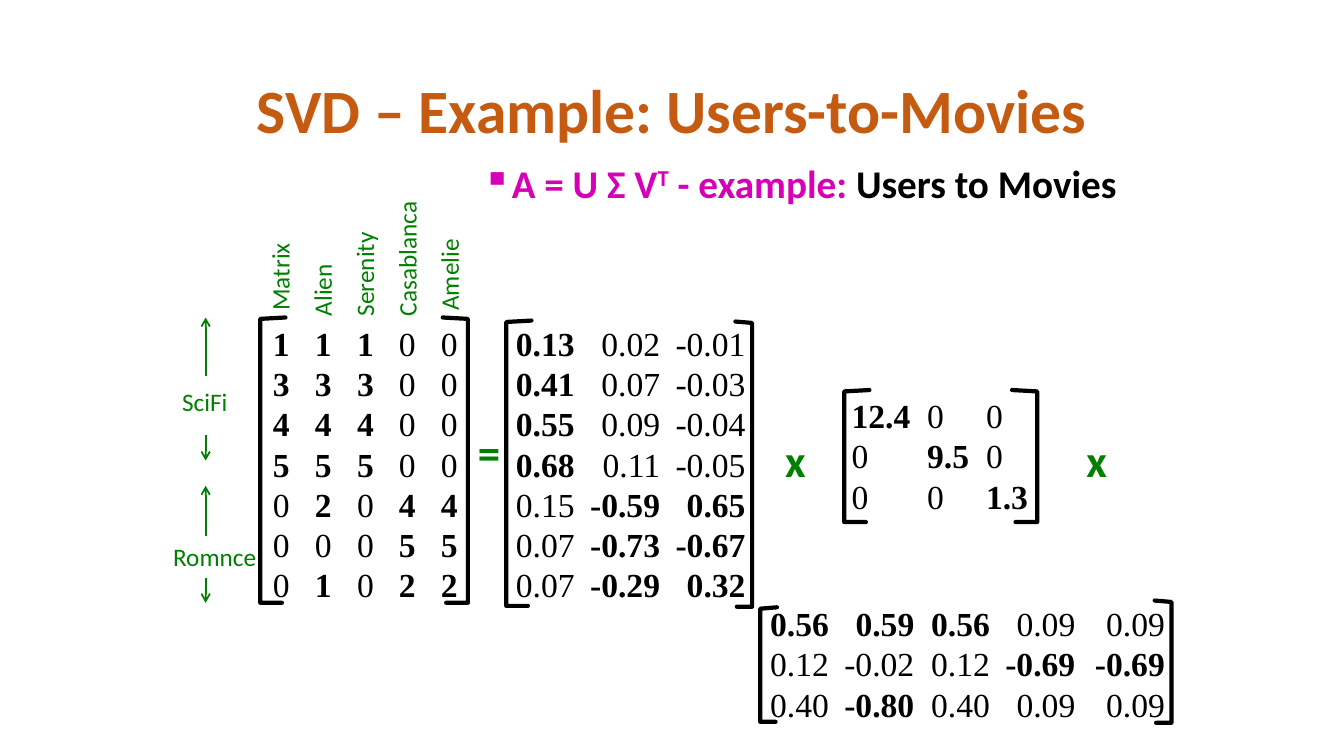
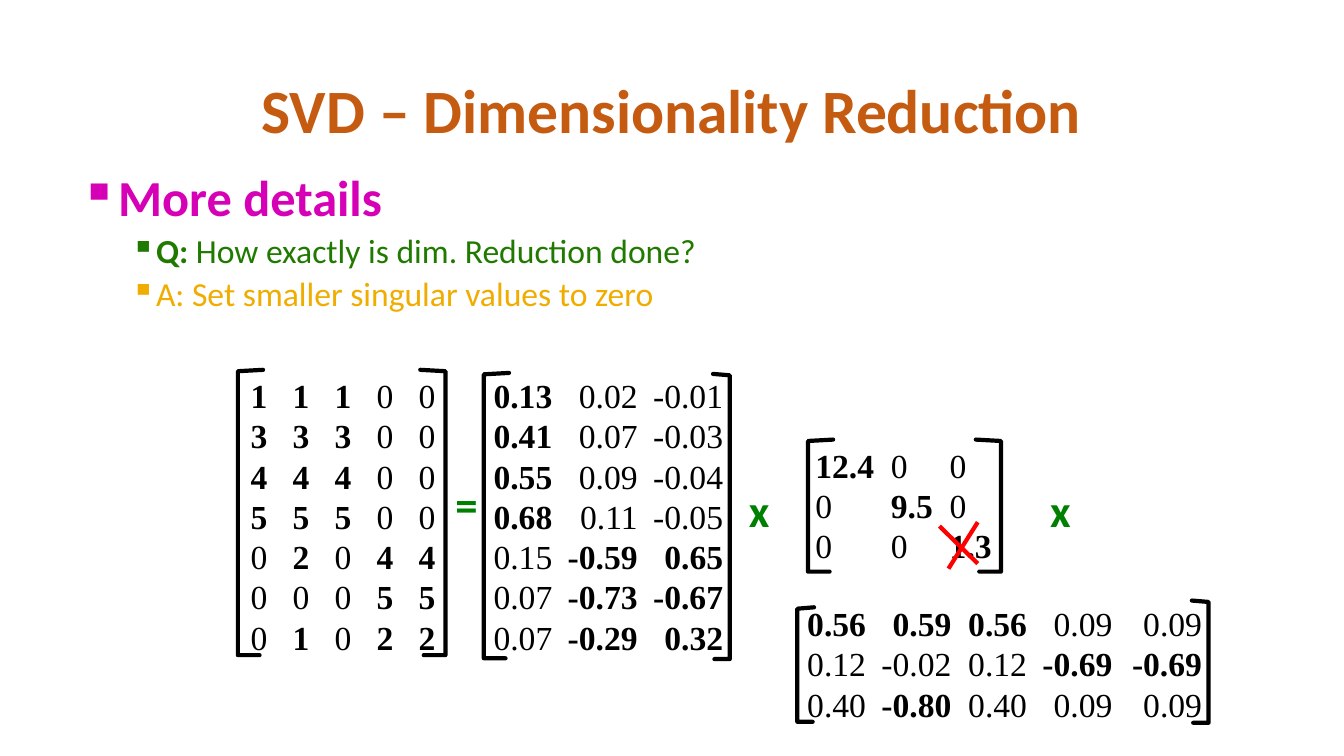
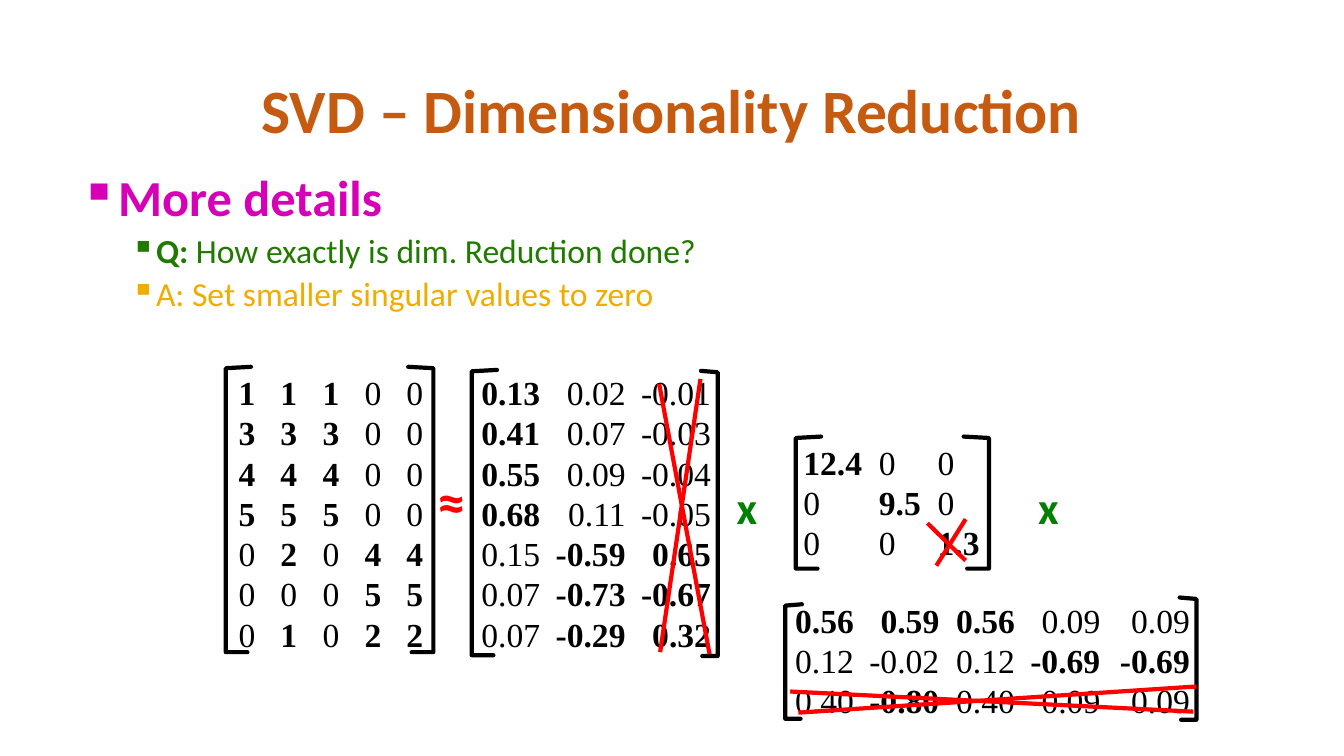
from dataclasses import dataclass
from lxml.etree import SubElement
from pptx import Presentation
from pptx.dml.color import RGBColor
from pptx.enum.shapes import MSO_CONNECTOR
from pptx.enum.text import MSO_ANCHOR, MSO_AUTO_SIZE, PP_ALIGN
from pptx.oxml.ns import qn
from pptx.util import Pt


@dataclass(frozen=True)
class Theme:
    sans: str = "Calibri"
    serif: str = "Times New Roman"
    title: RGBColor = RGBColor(0xC5, 0x5A, 0x11)
    heading: RGBColor = RGBColor(0xD6, 0x00, 0xB7)
    question: RGBColor = RGBColor(0x20, 0x7A, 0x00)
    answer: RGBColor = RGBColor(0xF0, 0xAD, 0x00)
    label: RGBColor = RGBColor(0x00, 0x80, 0x00)
    strike: RGBColor = RGBColor(0xFF, 0x00, 0x00)
    ink: RGBColor = RGBColor(0x00, 0x00, 0x00)
    title_size: int = 44
    approx_size: int = 40
    heading_size: int = 36
    operator_size: int = 32
    subheading_size: int = 28
    body_size: int = 24
    label_size: int = 18
    bracket_width: float = 3
    arrow_width: float = 1.25


@dataclass(frozen=True)
class Bracket:
    x: float
    top: float
    bottom: float
    top_arm: float
    bottom_arm: float


@dataclass(frozen=True)
class Matrix:
    rows: tuple
    stops: tuple
    stop_side: str
    inset: float
    size: tuple
    brackets: tuple


RATINGS = Matrix(
    ("*1 *1 *1 0 0", "*3 *3 *3 0 0", "*4 *4 *4 0 0", "*5 *5 *5 0 0",
     "0 *2 0 *4 *4", "0 0 0 *5 *5", "0 *1 0 *2 *2"),
    (30, 60, 90, 120), "l", 12, (156, 211),
    (Bracket(2.9, 0, 203.8, 18, 15.5), Bracket(151.2, 0, 203.8, -18, -15.5)))
USERS = Matrix(
    ("*0.13 0.02 -0.01", "*0.41 0.07 -0.03", "*0.55 0.09 -0.04",
     "*0.68 0.11 -0.05", "0.15 *-0.59 *0.65", "0.07 *-0.73 *-0.67",
     "0.07 *-0.29 *0.32"),
    (103, 164), "r", 17, (198, 211),
    (Bracket(10.1, 2.2, 206, 18, 15.5), Bracket(185.8, 2.9, 206.6, -12, -11)))
STRENGTHS = Matrix(
    ("*12.4 0 0", "0 *9.5 0", "0 0 *1.3"),
    (54, 96), "l", 7.2, (156, 94.3),
    (Bracket(1.8, 0, 94.3, 18, 15.5), Bracket(139.7, 0, 94.3, -18, -15.5)))
MOVIES = Matrix(
    ("*0.56 *0.59 *0.56 0.09 0.09", "0.12 -0.02 0.12 *-0.69 *-0.69",
     "0.40 *-0.80 0.40 0.09 0.09"),
    (103, 157, 218, 282), "r", 7.2, (300, 94.3),
    (Bracket(0, 6.8, 88.6, 12, 11), Bracket(293.8, 2, 89.3, -12, -11)))

USERS_SHIFT = 168.5
STRENGTH_STRIKES = ((102.2, 92.2, 123.1, 59), (95.8, 61.9, 123.1, 88.6))
USER_STRIKES = ((144.7, 203.8, 173.5, 8.6), (144, 12.2, 180, 205.2))
MOVIE_STRIKES = ((291.6, 83.5, 3.6, 69.1), (9.4, 84.2, 293.8, 65.5))


def apply(target, values):
    for name, value in values.items():
        setattr(target, name, value)


class Deck:
    def __init__(self, theme):
        self.theme = theme
        self.presentation = Presentation()
        apply(self.presentation, {"slide_width": Pt(960), "slide_height": Pt(540)})
        self.slide = None

    def new_slide(self, title):
        self.slide = self.presentation.slides.add_slide(self.presentation.slide_layouts[6])
        frame = self.frame(66, 28.8, 828, 104.4, vertical_anchor=MSO_ANCHOR.MIDDLE)
        heading = self.paragraph(frame, alignment=PP_ALIGN.CENTER, line_spacing=0.9)
        self.run(heading, title, self.theme.title_size, self.theme.title, bold=True)

    def frame(self, left, top, width, height, rotation=0, **values):
        box = self.slide.shapes.add_textbox(Pt(left), Pt(top), Pt(width), Pt(height))
        box.rotation = rotation
        apply(box.text_frame, {"word_wrap": True, **values})
        return box.text_frame

    def paragraph(self, frame, **values):
        first = frame.paragraphs[0]
        paragraph = frame.add_paragraph() if first.runs else first
        apply(paragraph, values)
        return paragraph

    def run(self, paragraph, text, size, color, bold=False, font=None):
        run = paragraph.add_run()
        run.text = text
        apply(run.font, {"name": font or self.theme.sans, "size": Pt(size), "bold": bold})
        run.font.color.rgb = color
        return run

    def bullet(self, frame, indent, space):
        paragraph = self.paragraph(frame, line_spacing=0.9, space_before=Pt(space))
        properties = paragraph._p.get_or_add_pPr()
        properties.set("marL", str(Pt(indent)))
        properties.set("indent", str(Pt(-18)))
        SubElement(properties, qn("a:buChar"), char="▪")
        return paragraph

    def label(self, text, left, top, width, height, size, color, bold=False):
        frame = self.frame(left, top, width, height, word_wrap=False,
                           vertical_anchor=MSO_ANCHOR.MIDDLE,
                           auto_size=MSO_AUTO_SIZE.SHAPE_TO_FIT_TEXT)
        self.run(self.paragraph(frame), text, size, color, bold)

    def operator(self, text, left, top):
        self.label(text, left, top, 31.7, 46, self.theme.operator_size, self.theme.label, True)

    def line(self, start_x, start_y, end_x, end_y, color, width, arrow=False):
        connector = self.slide.shapes.add_connector(
            MSO_CONNECTOR.STRAIGHT, Pt(start_x), Pt(start_y), Pt(end_x), Pt(end_y))
        connector.line.color.rgb = color
        connector.line.width = Pt(width)
        properties = connector.element.spPr
        if arrow:
            SubElement(properties.find(qn("a:ln")), qn("a:tailEnd"), type="arrow")
        SubElement(properties, qn("a:effectLst"))

    def strike(self, origin, strokes):
        left, top = origin
        for start_x, start_y, end_x, end_y in strokes:
            self.line(left + start_x, top + start_y, left + end_x, top + end_y,
                      self.theme.strike, self.theme.bracket_width)

    def bracket(self, origin, bracket):
        x, top, bottom = origin[0] + bracket.x, origin[1] + bracket.top, origin[1] + bracket.bottom
        builder = self.slide.shapes.build_freeform(Pt(x + bracket.top_arm), Pt(top))
        builder.add_line_segments(
            [(Pt(x), Pt(top + 1)), (Pt(x), Pt(bottom)), (Pt(x + bracket.bottom_arm), Pt(bottom))],
            close=False)
        outline = builder.convert_to_shape()
        outline.shadow.inherit = False
        outline.fill.background()
        outline.line.color.rgb = self.theme.ink
        outline.line.width = Pt(self.theme.bracket_width)
        stroke = outline.element.spPr.find(qn("a:ln"))
        stroke.set("cap", "rnd")
        SubElement(stroke, qn("a:round"))

    def matrix(self, origin, matrix):
        for bracket in matrix.brackets:
            self.bracket(origin, bracket)
        frame = self.frame(*origin, *matrix.size, margin_left=Pt(matrix.inset), margin_right=0,
                           auto_size=MSO_AUTO_SIZE.SHAPE_TO_FIT_TEXT)
        for row in matrix.rows:
            paragraph = self.paragraph(frame)
            tabs = SubElement(paragraph._p.get_or_add_pPr(), qn("a:tabLst"))
            for stop in matrix.stops:
                SubElement(tabs, qn("a:tab"), pos=str(Pt(stop)), algn=matrix.stop_side)
            for column, value in enumerate(row.split()):
                text = value.lstrip("*")
                self.run(paragraph, "\t" + text if column else text, self.theme.body_size,
                         self.theme.ink, value.startswith("*"), self.theme.serif)

    def decomposition(self, ratings, strengths, movies):
        left, top = ratings
        self.matrix(ratings, RATINGS)
        self.matrix((left + USERS_SHIFT, top), USERS)
        self.matrix(strengths, STRENGTHS)
        self.matrix(movies, MOVIES)
        for shift in (-47.5, 167.8):
            self.operator("x", strengths[0] + shift, strengths[1] + 27)

    def equals(self, ratings):
        self.operator("=", ratings[0] + 151.2, ratings[1] + 72.7)

    def movie_names(self):
        frame = self.frame(206.6, 103, 100, 159.8, rotation=270, word_wrap=False,
                           auto_size=MSO_AUTO_SIZE.SHAPE_TO_FIT_TEXT)
        for name, indent in (("Matrix", 4), ("Alien", 0), ("Serenity", 0),
                             ("Casablanca", 0), ("Amelie", 4)):
            paragraph = self.paragraph(frame, line_spacing=1.4)
            paragraph._p.get_or_add_pPr().set("marL", str(Pt(indent)))
            self.run(paragraph, name, self.theme.label_size, self.theme.label)

    def genres(self):
        for start, end in ((268.6, 226.8), (311, 329), (383, 347), (412.6, 430.6)):
            self.line(146.9, start, 146.9, end, self.theme.label, self.theme.arrow_width, True)
        for name, left, top, width in (("SciFi", 123, 272.2, 49.7), ("Romnce", 116.6, 383, 76.3)):
            self.label(name, left, top, width, 29, self.theme.label_size, self.theme.label)

    def formula(self):
        theme = self.theme
        paragraph = self.bullet(self.frame(337.7, 113.8, 525.6, 41), 18, 10)
        for text, color, baseline in (("A = U Σ V", theme.heading, 0), ("T", theme.heading, 30000),
                                      (" - example: ", theme.heading, 0),
                                      ("Users to Movies", theme.ink, 0)):
            run = self.run(paragraph, text, theme.subheading_size, color, True)
            run._r.get_or_add_rPr().set("baseline", str(baseline))

    def details(self):
        theme = self.theme
        frame = self.frame(50.4, 120.2, 648, 131.8)
        self.run(self.bullet(frame, 18, 10), "More details", theme.heading_size, theme.heading, True)
        question = self.bullet(frame, 54, 5)
        self.run(question, "Q: ", theme.body_size, theme.question, True)
        self.run(question, "How exactly is dim. Reduction done?", theme.body_size, theme.question)
        self.run(self.bullet(frame, 54, 5), "A: Set smaller singular values to zero",
                 theme.body_size, theme.answer)


def main():
    theme = Theme()
    deck = Deck(theme)

    ratings = (183, 226.8)
    deck.new_slide("SVD – Example: Users-to-Movies")
    deck.formula()
    deck.decomposition(ratings, (601.2, 278.6), (543, 427))
    deck.equals(ratings)
    deck.movie_names()
    deck.genres()

    for shift_x, shift_y, approximate in ((0, 0, False), (-8.64, -2.16, True)):
        ratings = (167 + shift_x, 264.2 + shift_y)
        strengths = (575.3 + shift_x, 314 + shift_y)
        movies = (569.5 + shift_x, 427 + shift_y)
        deck.new_slide("SVD – Dimensionality Reduction")
        deck.details()
        deck.decomposition(ratings, strengths, movies)
        deck.strike(strengths, STRENGTH_STRIKES)
        if approximate:
            deck.strike((ratings[0] + USERS_SHIFT, ratings[1]), USER_STRIKES)
            deck.strike(movies, MOVIE_STRIKES)
            deck.label("≈", 305.3, 329.8, 36.7, 55.4, theme.approx_size, theme.strike, True)
        else:
            deck.equals(ratings)

    deck.presentation.save("out.pptx")


if __name__ == "__main__":
    main()
